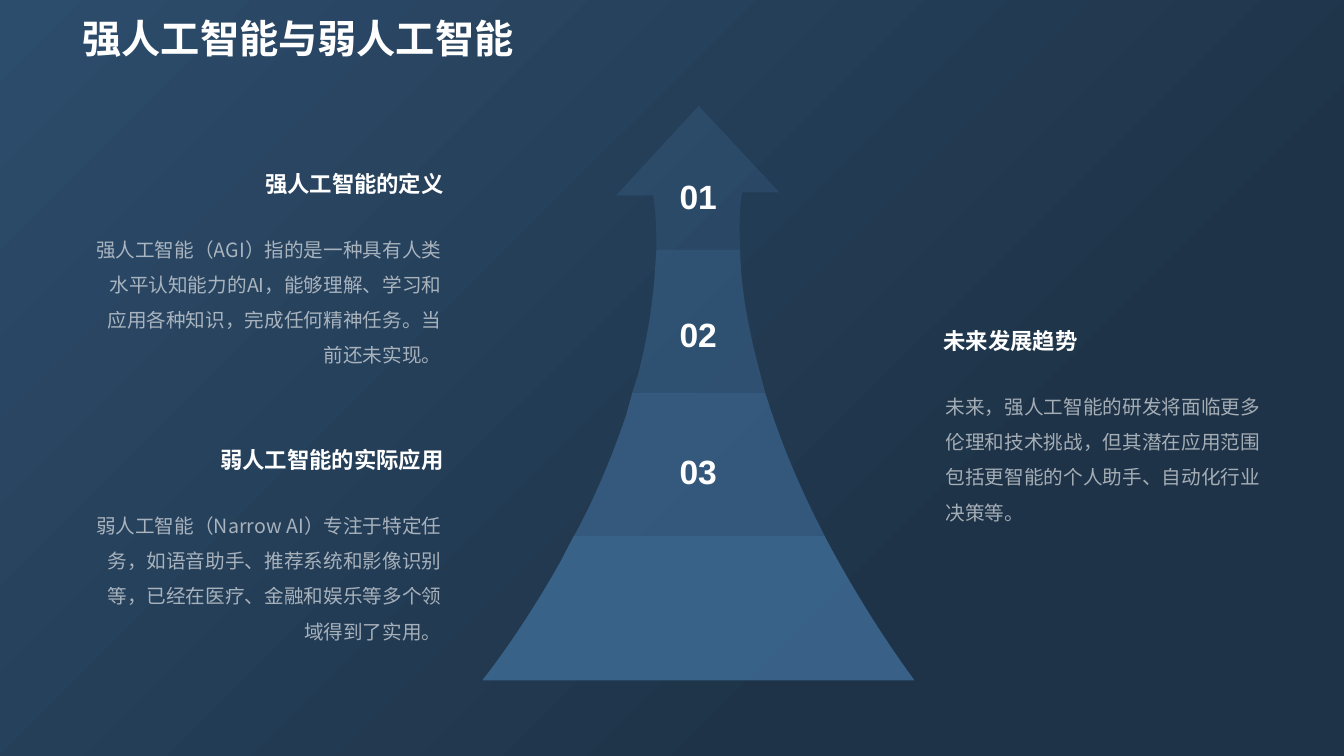
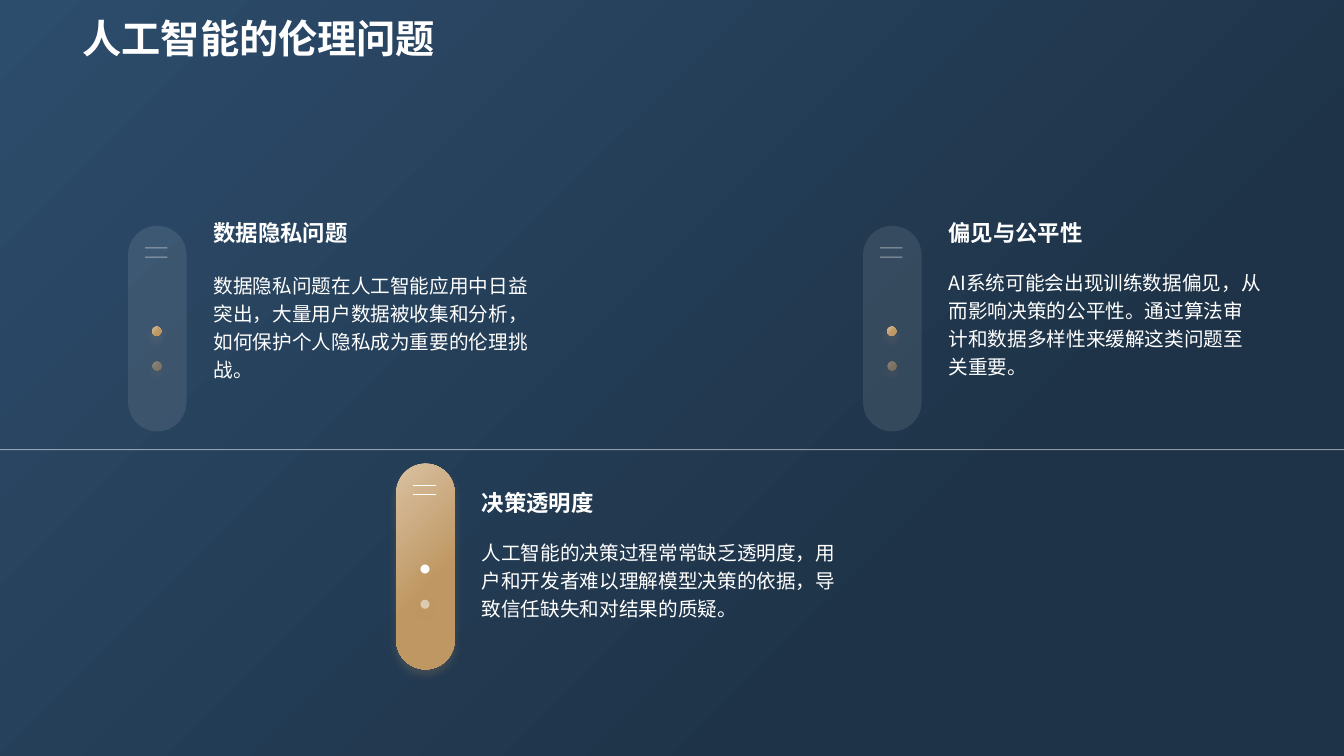
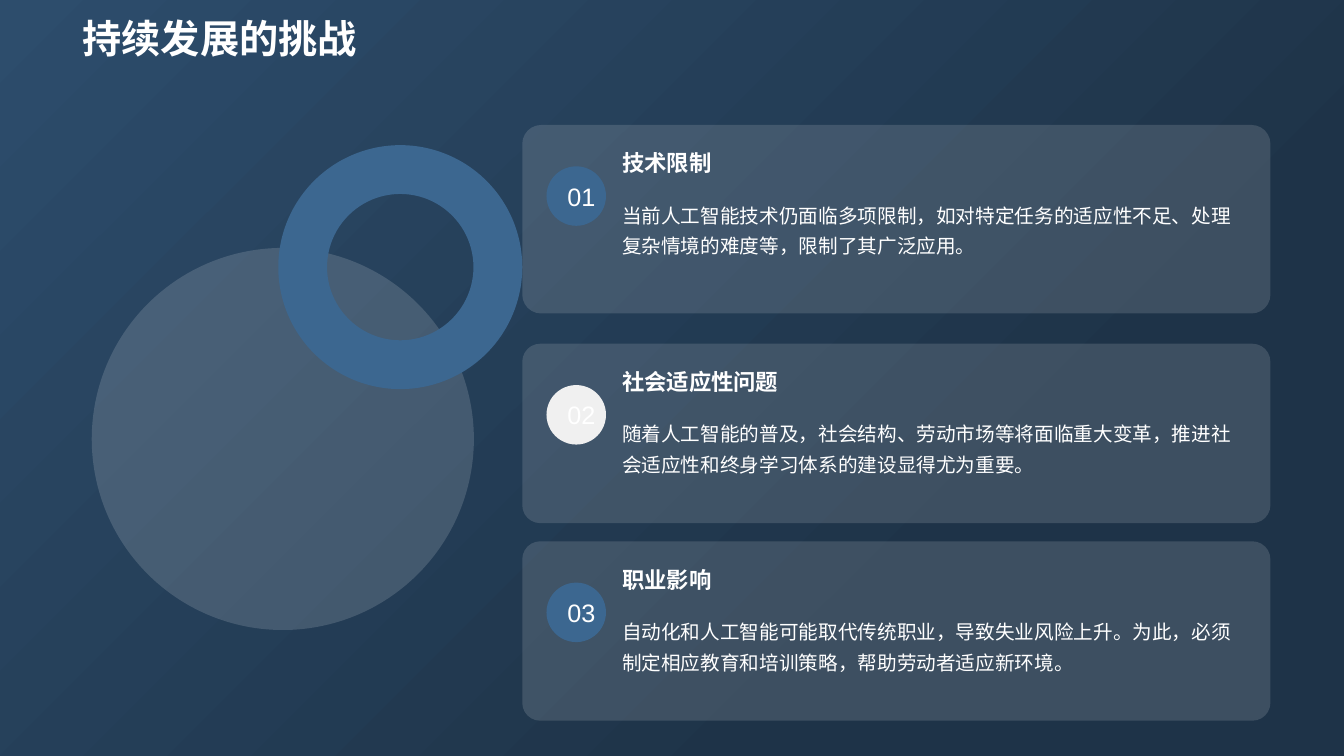
from lxml import etree
from pptx import Presentation
from pptx.dml.color import RGBColor
from pptx.enum.shapes import MSO_CONNECTOR, MSO_SHAPE
from pptx.enum.text import MSO_ANCHOR, MSO_AUTO_SIZE, PP_ALIGN
from pptx.oxml.ns import qn
from pptx.util import Inches, Pt

LEFT, RIGHT, CENTER = PP_ALIGN.LEFT, PP_ALIGN.RIGHT, PP_ALIGN.CENTER
TOP, MIDDLE, BOTTOM = MSO_ANCHOR.TOP, MSO_ANCHOR.MIDDLE, MSO_ANCHOR.BOTTOM
ROUND, OVAL, DONUT = MSO_SHAPE.ROUNDED_RECTANGLE, MSO_SHAPE.OVAL, MSO_SHAPE.DONUT
STRAIGHT = MSO_CONNECTOR.STRAIGHT
GROW, FIXED = MSO_AUTO_SIZE.SHAPE_TO_FIT_TEXT, MSO_AUTO_SIZE.NONE
HAN, LATIN = "Noto Sans CJK SC", "Arial"
WHITE, BLUE, GOLD, PALE = "FFFFFF", "3C6790", "BF9762", "F0F0F0"
SAND, SILVER = "D9C1A1", "F2F2F2"
NAVY, DARK = "2D4D6C", "1E3348"

BANDS = [
    (30, [(6.93, 1.05), (7.73, 1.91), (7.36, 1.91), (7.36, 1.91, 7.32, 2.11, 7.34, 2.46),
          (7.34, 2.48), (6.51, 2.48), (6.51, 2.39), (6.51, 2.24, 6.5, 2.09, 6.48, 1.94),
          (6.11, 1.94)]),
    (50, [(6.51, 2.48), (7.34, 2.48), (7.35, 2.69), (7.37, 2.94, 7.42, 3.24, 7.51, 3.59),
          (7.59, 3.9), (6.27, 3.9), (6.33, 3.71), (6.42, 3.36, 6.48, 2.99, 6.5, 2.62)]),
    (70, [(6.27, 3.9), (7.59, 3.9), (7.61, 3.96), (7.73, 4.34, 7.9, 4.77, 8.14, 5.24),
          (8.18, 5.32), (5.69, 5.32), (5.73, 5.25), (5.91, 4.91, 6.07, 4.53, 6.21, 4.12)]),
    (90, [(5.69, 5.32), (8.18, 5.32), (8.26, 5.47), (8.48, 5.87, 8.74, 6.3, 9.07, 6.75),
          (4.79, 6.75), (4.79, 6.74), (4.84, 6.68, 5.19, 6.23, 5.56, 5.57)]),
]
TOPICS = [
    (0.81, 1.59, 3.69, RIGHT, "强人工智能的定义",
     "强人工智能（AGI）指的是一种具有人类水平认知能力的AI，能够理解、学习和应用各种知识，完成任何精神任务。当前还未实现。"),
    (9.26, 3.15, 3.42, LEFT, "未来发展趋势",
     "未来，强人工智能的研发将面临更多伦理和技术挑战，但其潜在应用范围包括更智能的个人助手、自动化行业决策等。"),
    (0.81, 4.33, 3.69, RIGHT, "弱人工智能的实际应用",
     "弱人工智能（Narrow AI）专注于特定任务，如语音助手、推荐系统和影像识别等，已经在医疗、金融和娱乐等多个领域得到了实用。"),
]
ISSUES = [
    (1.27, 2.24, False, 3.44, -0.12, 0.5, "数据隐私问题",
     "数据隐私问题在人工智能应用中日益突出，大量用户数据被收集和分析，如何保护个人隐私成为重要的伦理挑战。"),
    (3.93, 4.6, True, 3.73, 0.2, 0.47, "决策透明度",
     "人工智能的决策过程常常缺乏透明度，用户和开发者难以理解模型决策的依据，导致信任缺失和对结果的质疑。"),
    (8.56, 2.24, False, 3.3, -0.12, 0.47, "偏见与公平性",
     "AI系统可能会出现训练数据偏见，从而影响决策的公平性。通过算法审计和数据多样性来缓解这类问题至关重要。"),
]
CARDS = [
    (1.24, 1.87, BLUE, "技术限制",
     "当前人工智能技术仍面临多项限制，如对特定任务的适应性不足、处理复杂情境的难度等，限制了其广泛应用。"),
    (3.41, 1.78, PALE, "社会适应性问题",
     "随着人工智能的普及，社会结构、劳动市场等将面临重大变革，推进社会适应性和终身学习体系的建设显得尤为重要。"),
    (5.37, 1.78, BLUE, "职业影响",
     "自动化和人工智能可能取代传统职业，导致失业风险上升。为此，必须制定相应教育和培训策略，帮助劳动者适应新环境。"),
]


def color(code):
    return RGBColor.from_string(code)


def fade(node, alpha):
    if alpha < 100:
        for tint in node.iter(qn("a:srgbClr")):
            etree.SubElement(tint, qn("a:alpha")).set("val", str(alpha * 1000))


def blend(fill, first, last, end):
    fill.gradient()
    fill.gradient_angle = 315
    for stop, code, place in zip(fill.gradient_stops, (first, last), (0, end)):
        stop.color.rgb = color(code)
        stop.position = place


def paint(shape, code, alpha=100):
    shape.shadow.inherit = False
    shape.line.fill.background()
    if code == GOLD:
        blend(shape.fill, SAND, GOLD, 0.6)
    else:
        shape.fill.solid()
        shape.fill.fore_color.rgb = color(code)
    fade(shape._element.spPr, alpha)


def glow(shape):
    effects = shape._element.spPr.find(qn("a:effectLst"))
    cast = etree.SubElement(effects, qn("a:outerShdw"), blurRad=str(Pt(6)), dist=str(Pt(4)),
                            dir="5400000", algn="t", rotWithShape="0")
    etree.SubElement(cast, qn("a:srgbClr"), val=GOLD)
    fade(cast, 20)


def block(slide, kind, x, y, w, h, code, alpha=100, adjust=None):
    shape = slide.shapes.add_shape(kind, Inches(x), Inches(y), Inches(w), Inches(h))
    if adjust is not None:
        shape.adjustments[0] = adjust
    paint(shape, code, alpha)
    return shape


def rule(slide, x, y, w, alpha=50):
    line = slide.shapes.add_connector(STRAIGHT, Inches(x), Inches(y), Inches(x + w), Inches(y))
    line.line.color.rgb = color(WHITE)
    line.line.width = Pt(0.75)
    props = line._element.spPr
    fade(props, alpha)
    etree.SubElement(props, qn("a:effectLst"))


def write(shape, text, size, bold=False, align=LEFT, anchor=TOP, pad=(0.1, 0.05),
          space=1.0, alpha=100, face=HAN, wrap=True, fit=GROW):
    frame = shape.text_frame
    frame.text = text
    frame.word_wrap = wrap
    frame.auto_size = fit
    frame.vertical_anchor = anchor
    frame.margin_left = frame.margin_right = Inches(pad[0])
    frame.margin_top = frame.margin_bottom = Inches(pad[1])
    para = frame.paragraphs[0]
    para.alignment = align
    para.line_spacing = space
    for run in para.runs:
        font = run.font
        font.size, font.bold = Pt(size), bold
        font.color.rgb = color(WHITE)
        font.name = face
        props = run._r.get_or_add_rPr()
        fade(props, alpha)
        etree.SubElement(props, qn("a:ea")).set("typeface", face)


def label(slide, x, y, w, h, text, size, **style):
    box = slide.shapes.add_textbox(Inches(x), Inches(y), Inches(w), Inches(h))
    write(box, text, size, **style)


def start(deck, title):
    slide = deck.slides.add_slide(deck.slide_layouts[5])
    head = slide.shapes.title
    head.left, head.top = Inches(0.72), Inches(0.14)
    head.width, head.height = Inches(11.88), Inches(0.98)
    write(head, title, 28, bold=True, space=0.9, fit=FIXED)
    return slide


def trace(steps):
    points = [steps[0]]
    for step in steps[1:]:
        if len(step) == 2:
            points.append(step)
            continue
        knots = [points[-1], step[:2], step[2:4], step[4:]]
        for i in range(1, 13):
            t = i / 12
            parts = ((1 - t) ** 3, 3 * t * (1 - t) ** 2, 3 * t * t * (1 - t), t ** 3)
            points.append(tuple(sum(p * k[axis] for p, k in zip(parts, knots))
                                for axis in (0, 1)))
    return [(Inches(x), Inches(y)) for x, y in points]


def band(slide, steps, alpha):
    points = trace(steps)
    pen = slide.shapes.build_freeform(*points[0], scale=1.0)
    pen.add_line_segments(points[1:], close=True)
    paint(pen.convert_to_shape(), BLUE, alpha)


def topic(slide, x, y, w, align, head, body):
    label(slide, x, y, w, 0.47, head, 16, bold=True, align=align, pad=(0.1, 0.1))
    label(slide, x, y + 0.53, w, 1.96, body, 14, align=align, pad=(0.12, 0.12),
          space=1.5, alpha=60)


def issue(slide, x, y, bright, w, rise, gap, head, body):
    pill = block(slide, ROUND, x, y, 0.58, 2.04, GOLD if bright else SILVER,
                 100 if bright else 10, 0.5)
    if bright:
        glow(pill)
    for drop in (0.22, 0.31):
        rule(slide, x + 0.17, y + drop, 0.22, 100 if bright else 50)
    for drop, alpha in ((1, 100), (1.35, 50)):
        glow(block(slide, OVAL, x + 0.24, y + drop, 0.09, 0.09,
                   WHITE if bright else GOLD, alpha))
    label(slide, x + 0.75, y + rise, w, 0.37, head, 16, bold=True, anchor=BOTTOM)
    label(slide, x + 0.75, y + rise + gap, w, 0.73, body, 14, space=1.2)


def card(slide, x, y, h, code, mark, head, body):
    block(slide, ROUND, x, y, 7.42, h, PALE, 15, 0.1)
    pad = (0.12, 0.12)
    label(slide, x + 0.87, y + 0.12, 6.3, 0.51, head, 16, bold=True, anchor=BOTTOM, pad=pad)
    label(slide, x + 0.87, y + 0.59, 6.3, 1.13, body, 14, pad=pad, space=1.3)
    disc = block(slide, OVAL, x + 0.24, y + 0.41, 0.59, 0.59, code)
    write(disc, mark, 18, anchor=MIDDLE, pad=pad, face=LATIN, wrap=False, fit=FIXED)


def arrow_slide(deck):
    slide = start(deck, "强人工智能与弱人工智能")
    for alpha, steps in BANDS:
        band(slide, steps, alpha)
    for i in range(3):
        label(slide, 6.62, 1.65 + 1.36 * i, 0.61, 0.6, f"0{i + 1}", 24, bold=True,
              align=CENTER, anchor=BOTTOM, pad=(0.1, 0.1), face=LATIN)
    for item in TOPICS:
        topic(slide, *item)


def ethics_slide(deck):
    slide = start(deck, "人工智能的伦理问题")
    rule(slide, 0, 4.46, 13.33)
    for item in ISSUES:
        issue(slide, *item)


def card_slide(deck):
    slide = start(deck, "持续发展的挑战")
    block(slide, ROUND, 0.91, 2.46, 3.79, 3.79, WHITE, 15, 0.5)
    block(slide, DONUT, 2.76, 1.44, 2.42, 2.42, BLUE, adjust=0.2)
    for i, (y, h, code, head, body) in enumerate(CARDS, 1):
        card(slide, 5.18, y, h, code, f"0{i}", head, body)


def main():
    deck = Presentation()
    deck.slide_width, deck.slide_height = Inches(13.33), Inches(7.5)
    blend(deck.slide_master.background.fill, NAVY, DARK, 0.72)
    arrow_slide(deck)
    ethics_slide(deck)
    card_slide(deck)
    deck.save("out.pptx")


if __name__ == "__main__":
    main()
